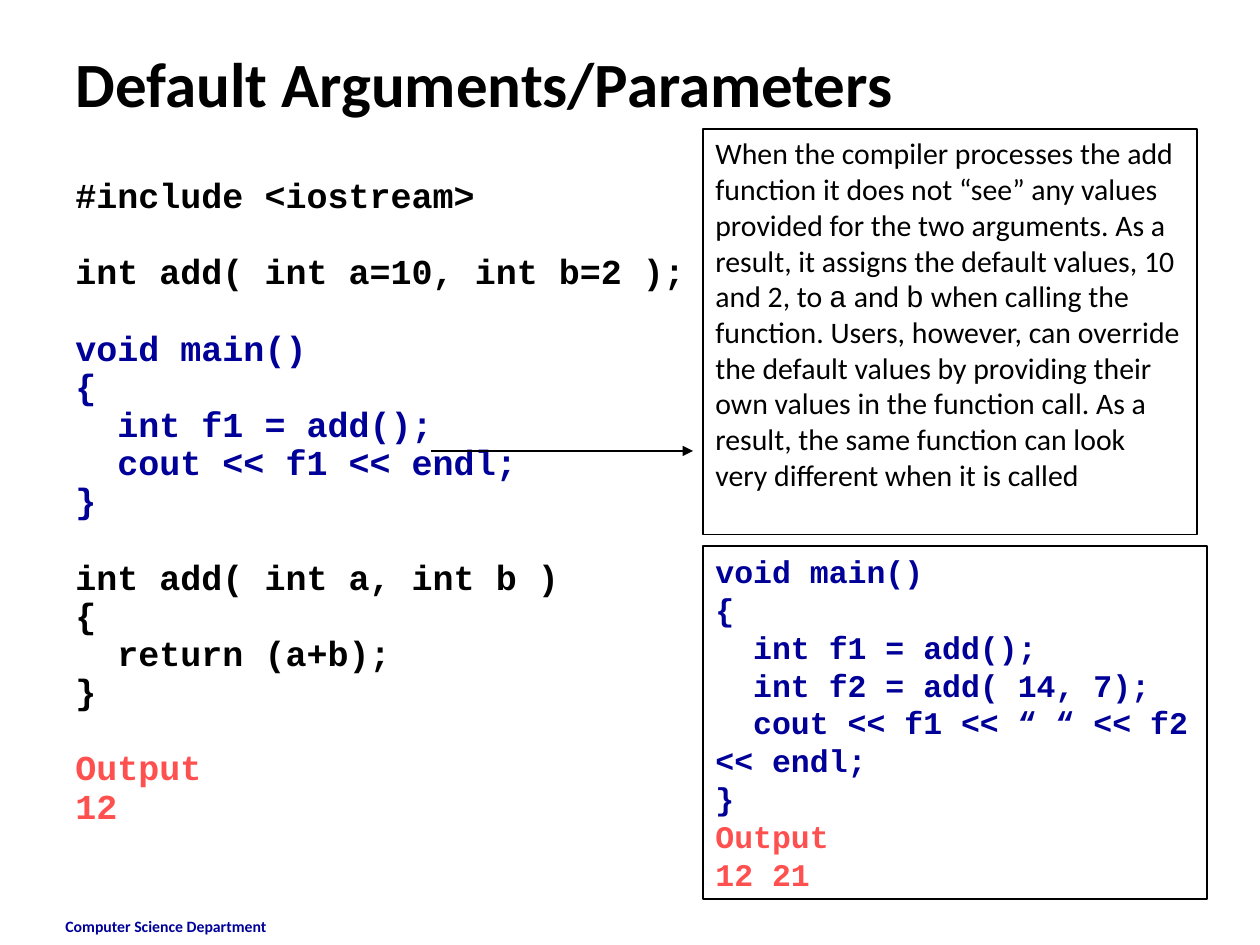
from dataclasses import dataclass

import pptx
import pptx.dml.color
import pptx.enum.shapes
import pptx.enum.text
import pptx.oxml
import pptx.oxml.ns
import pptx.util

EMU_PER_PX = 914400 / 126
BLACK, NAVY, RED = "000000", "000099", "FF5050"
SANS, MONO = "Calibri", "Courier New"


@dataclass
class Run:
    text: str
    size: int
    color: str = BLACK
    font: str = MONO
    bold: bool = True


@dataclass
class Line:
    runs: list[Run]
    space_before: float = 0
    line_spacing: float | None = None


@dataclass
class Box:
    left: int
    top: int
    width: int
    height: int
    lines: list[Line]
    outlined: bool = False
    anchor: pptx.enum.text.MSO_ANCHOR = pptx.enum.text.MSO_ANCHOR.TOP


def px(length: int) -> pptx.util.Emu:
    return pptx.util.Emu(round(length * EMU_PER_PX))


def rgb(color: str) -> pptx.dml.color.RGBColor:
    return pptx.dml.color.RGBColor.from_string(color)


def code_lines(blocks: list[tuple[str, str]], size: int, line_gap: float = 0,
               block_gap: float = 0, line_spacing: float | None = None) -> list[Line]:
    """Split (color, code) blocks into lines, with a wider gap between blocks."""
    lines = []
    for color, code in blocks:
        for index, text in enumerate(code.split("\n")):
            gap = line_gap if index else block_gap
            lines.append(Line([Run(text, size, color)], gap if lines else 0, line_spacing))
    return lines


def draw_box(slide, box: Box) -> None:
    frame = [px(length) for length in (box.left, box.top, box.width, box.height)]
    if box.outlined:
        shape = slide.shapes.add_shape(pptx.enum.shapes.MSO_SHAPE.RECTANGLE, *frame)
        shape.shadow.inherit = False
        shape.fill.background()
        shape.line.color.rgb = rgb(BLACK)
        shape.line.width = pptx.util.Pt(0.75)
    else:
        shape = slide.shapes.add_textbox(*frame)
    text_frame = shape.text_frame
    text_frame.word_wrap = True
    text_frame.vertical_anchor = box.anchor
    for index, line in enumerate(box.lines):
        paragraph = text_frame.add_paragraph() if index else text_frame.paragraphs[0]
        paragraph.alignment = pptx.enum.text.PP_ALIGN.LEFT
        paragraph.space_before = pptx.util.Pt(line.space_before)
        if line.line_spacing:
            paragraph.line_spacing = line.line_spacing
        for item in line.runs:
            run = paragraph.add_run()
            run.text = item.text
            run.font.name = item.font
            run.font.size = pptx.util.Pt(item.size)
            run.font.bold = item.bold
            run.font.color.rgb = rgb(item.color)


def draw_arrow(slide, left: int, right: int, y: int) -> None:
    arrow = slide.shapes.add_connector(
        pptx.enum.shapes.MSO_CONNECTOR.STRAIGHT, px(left), px(y), px(right), px(y))
    arrow.line.color.rgb = rgb(BLACK)
    arrow.line.width = pptx.util.Pt(1)
    properties = arrow.line._get_or_add_ln()
    namespace = pptx.oxml.ns.nsdecls("a")
    properties.append(pptx.oxml.parse_xml(f'<a:tailEnd {namespace} type="triangle"/>'))
    properties.addnext(pptx.oxml.parse_xml(f"<a:effectLst {namespace}/>"))


PROGRAM = [
    (BLACK, "#include <iostream>"),
    (BLACK, "int add( int a=10, int b=2 );"),
    (NAVY, "void main()\n{\n  int f1 = add();\n  cout << f1 << endl;\n}"),
    (BLACK, "int add( int a, int b )\n{\n  return (a+b);\n}"),
    (RED, "Output\n12"),
]
OVERRIDE = [
    (NAVY, "void main()\n{\n  int f1 = add();\n  int f2 = add( 14, 7);\n"
           "  cout << f1 << “ “ << f2 << endl;\n}"),
    (RED, "Output\n12 21"),
]
EXPLANATION = [
    ("When the compiler processes the add function it does not “see” any values provided "
     "for the two arguments. As a result, it assigns the default values, 10 and 2, to ", SANS),
    ("a", MONO),
    (" and ", SANS),
    ("b", MONO),
    (" when calling the function. Users, however, can override the default values by "
     "providing their own values in the function call. As a result, the same function "
     "can look very different when it is called", SANS),
]
BOXES = [
    Box(53, 911, 294, 34, [Line([Run("Computer Science Department", 9, NAVY, SANS)])]),
    Box(63, 38, 1134, 88, [Line([Run("Default Arguments/Parameters", 36, BLACK, SANS)])],
        anchor=pptx.enum.text.MSO_ANCHOR.MIDDLE),
    Box(63, 179, 1134, 714,
        code_lines(PROGRAM, 20, line_gap=5, block_gap=26.8, line_spacing=0.7)),
    Box(703, 129, 494, 406,
        [Line([Run(text, 17, BLACK, font, False) for text, font in EXPLANATION])],
        outlined=True),
    Box(703, 546, 504, 353, code_lines(OVERRIDE, 18), outlined=True),
]


def main() -> None:
    presentation = pptx.Presentation()
    presentation.slide_width, presentation.slide_height = px(1260), px(945)
    slide = presentation.slides.add_slide(presentation.slide_layouts[6])
    for box in BOXES:
        draw_box(slide, box)
    draw_arrow(slide, left=431, right=693, y=451)
    presentation.save("out.pptx")


if __name__ == "__main__":
    main()
